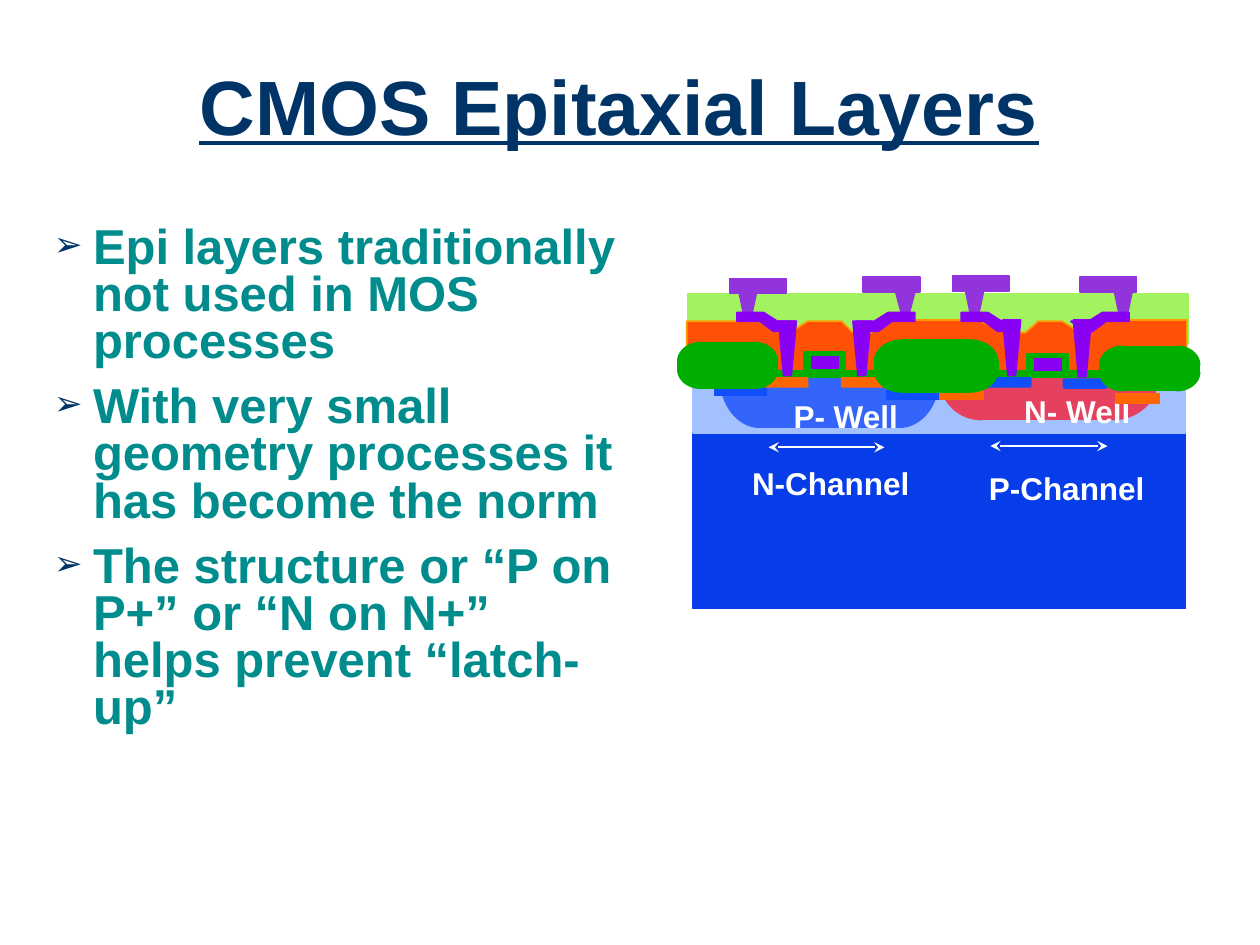
from math import cos, pi, sin

from lxml.etree import SubElement
from pptx import Presentation
from pptx.dml.color import RGBColor
from pptx.enum.shapes import MSO_CONNECTOR as Link, MSO_SHAPE as Kind
from pptx.enum.text import MSO_ANCHOR as Anchor, MSO_AUTO_SIZE as Fit, PP_ALIGN as Align
from pptx.oxml.ns import qn
from pptx.util import Pt

PX = 9144  # EMU in one px, 100 px to the inch
FONT = "Arial"
INK = {
    "title": "003366", "body": "008C8C", "white": "FFFFFF",
    "glass": "A3F25F", "film": "FF5008", "edge": "FE9B03",
    "base": "063DE8", "epi": "A2C1FE", "red": "E5405D", "blue": "3365FB",
    "oxide": "00AE00", "ndope": "FF6600", "pdope": "114FFB",
    "metal": "8901F3", "pad": "9234DB",
}
POINTS = [
    "Epi layers traditionally not used in MOS processes",
    "With very small geometry processes it has become the norm",
    "The structure or “P on P+” or “N on N+” helps prevent “latch-up”",
]
# The outline of a metal strap, as offsets from its outer top corner
STRAP = [(35, 15), (29, 15), (18, 7), (0, 7), (0, 0), (21, 0), (32, 7), (46, 7)]
FILM = [
    (545, 300), (545, 255), (602, 255), (616, 263), (627, 264), (641, 255),
    (668, 255), (677, 264), (690, 265), (704, 254), (777, 254), (791, 261),
    (803, 264), (814, 264), (824, 255), (843, 255), (856, 263), (866, 262),
    (880, 254), (942, 254), (942, 304),
]


def emu(*vals):
    return [round(v * PX) for v in vals]


def rgb(name):
    return RGBColor.from_string(INK[name])


def paint(shape, fill, line=None):
    shape.shadow.inherit = False
    shape.fill.solid()
    shape.fill.fore_color.rgb = rgb(fill)
    shape.line.color.rgb = rgb(line or fill)
    shape.line.width = Pt(1)


def box(on, x, y, w, h, fill, kind=Kind.RECTANGLE):
    shape = on.add_shape(kind, *emu(x, y, w, h))
    if kind == Kind.ROUNDED_RECTANGLE:
        shape.adjustments[0] = 0.125
    paint(shape, fill)


def area(on, pts, fill, line=None):
    pts = [emu(*p) for p in pts]
    path = on.build_freeform(*pts[0], scale=1.0)
    path.add_line_segments(pts[1:])
    paint(path.convert_to_shape(), fill, line)


def wedge(on, x, y, rx, ry, fill):
    """Quarter of an ellipse about (x, y); the signs of rx and ry pick the quarter."""
    turns = [i * pi / 32 for i in range(17)]
    arc = [(x + rx * cos(t), y + ry * sin(t)) for t in turns]
    area(on, [(x, y)] + arc, fill)


def taper(on, x, y, w, h, inset, fill):
    area(on, [(x, y), (x + w, y), (x + w - inset, y + h), (x + inset, y + h)], fill)


def well(on, x, w, left, right, deep, fill):
    """Rectangle with a rounded lower corner of the given width at each side."""
    wedge(on, x, 300, -left, deep, fill)
    wedge(on, x + w, 300, right, deep, fill)
    box(on, x, 300, w, deep, fill)


def oxide(on, x, y, w, h, rx):
    part = on.add_group_shape().shapes
    ry = (h - 6) / 2
    for cx, dx in ((x + rx, -rx), (x + w - rx, rx)):
        wedge(part, cx, y + ry, dx, -ry, "oxide")
        wedge(part, cx, y + h - ry, dx, ry, "oxide")
    box(part, x, y + ry, w, 6, "oxide")
    box(part, x + rx, y, w - 2 * rx, h, "oxide")


def gate(on, x, y):
    box(on, x, y, 33, 17, "oxide")
    box(on, x + 6, y + 4, 21, 9, "metal")


def style(para, size, ink):
    for run in para.runs:
        font = run.font
        font.name, font.size, font.bold = FONT, Pt(size), True
        font.color.rgb = rgb(ink)


def frame(on, x, y, w, h, wrap=True):
    text = on.add_textbox(*emu(x, y, w, h)).text_frame
    text.word_wrap = wrap
    return text


def title(on):
    text = frame(on, 25, 25, 933, 125)
    text.vertical_anchor = Anchor.MIDDLE
    text.text = "CMOS Epitaxial Layers"
    para = text.paragraphs[0]
    para.alignment, para.line_spacing = Align.CENTER, 0.9
    style(para, 44, "title")
    para.runs[0].font.underline = True


def bullet(para):
    props = para._p.get_or_add_pPr()
    props.set("marL", str(31 * PX))
    props.set("indent", str(-31 * PX))
    tint = SubElement(props, qn("a:buClr"))
    SubElement(tint, qn("a:srgbClr"), val=INK["title"])
    SubElement(props, qn("a:buSzPct"), val="70000")
    SubElement(props, qn("a:buFont"), typeface=FONT)
    SubElement(props, qn("a:buChar"), char="➢")


def body(on):
    text = frame(on, 33, 175, 475, 450)
    text.text = "\n".join(POINTS)
    for para in text.paragraphs:
        para.line_spacing, para.space_before = 0.8, Pt(10.5)
        bullet(para)
        style(para, 28, "body")


def label(on, x, y, w, words):
    text = frame(on, x, y, w, 40, wrap=False)
    text.auto_size = Fit.SHAPE_TO_FIT_TEXT
    text.text = words
    style(text.paragraphs[0], 18, "white")


def arrow(on, x, y, w):
    line = on.add_connector(Link.STRAIGHT, *emu(x, y, x + w, y))
    line.line.color.rgb = rgb("white")
    line.line.width = Pt(1)
    stroke = line.line._get_or_add_ln()
    for end in ("a:headEnd", "a:tailEnd"):
        SubElement(stroke, qn(end), type="stealth")
    SubElement(line._element.spPr, qn("a:effectLst"))


def layers(on):
    box(on, 546, 233, 397, 39, "glass")
    area(on, FILM, "film", "edge")
    box(on, 550, 300, 391, 183, "base")
    box(on, 550, 300, 391, 44, "epi")
    well(on, 779, 104, 33, 36, 33, "red")
    well(on, 603, 111, 31, 31, 39, "blue")
    label(on, 620, 310, 104, "P- Well")
    label(on, 803, 306, 105, "N- Well")


def devices(on):
    soft = Kind.ROUNDED_RECTANGLE
    for x in (617, 791):
        box(on, x, 294, 83, 5, "oxide")
    box(on, 784, 300, 34, 7, "pdope", soft)
    for x, y, w, fill in ((704, 310, 41, "pdope"), (567, 307, 41, "pdope"),
                          (746, 310, 34, "ndope"), (886, 313, 34, "ndope")):
        box(on, x, y, w, 7, fill)
    gate(on, 638, 279)
    gate(on, 815, 281)
    box(on, 844, 301, 34, 7, "pdope", soft)
    oxide(on, 873, 275, 79, 35, 18)
    for x in (607, 668):
        box(on, x, 300, 34, 7, "ndope", soft)
    oxide(on, 538, 272, 79, 36, 18)
    oxide(on, 694, 270, 98, 41, 22)


def wiring(on):
    for x, y, h in ((618, 255, 43), (677, 255, 43), (796, 254, 44), (852, 254, 45)):
        taper(on, x, y, 14, h, 4, "metal")
    for x, y, h in ((586, 229, 19), (711, 232, 15), (766, 229, 19), (884, 229, 19)):
        taper(on, x, y, 15, h, 4, "pad")
    for x, y in ((579, 221), (685, 220), (756, 219), (857, 220)):
        box(on, x, y, 45, 12, "pad")
    for x, side in ((585, 1), (726, -1), (763, 1), (896, -1)):
        area(on, [(x + side * dx, 248 + dy) for dx, dy in STRAP], "metal")


def main():
    deck = Presentation()
    deck.slide_width, deck.slide_height = emu(1000, 750)
    on = deck.slides.add_slide(deck.slide_layouts[6]).shapes
    title(on)
    body(on)
    layers(on)
    devices(on)
    wiring(on)
    arrow(on, 610, 355, 92)
    arrow(on, 786, 354, 93)
    label(on, 587, 363, 152, "N-Channel")
    label(on, 775, 367, 144, "P-Channel")
    deck.save("out.pptx")


if __name__ == "__main__":
    main()
